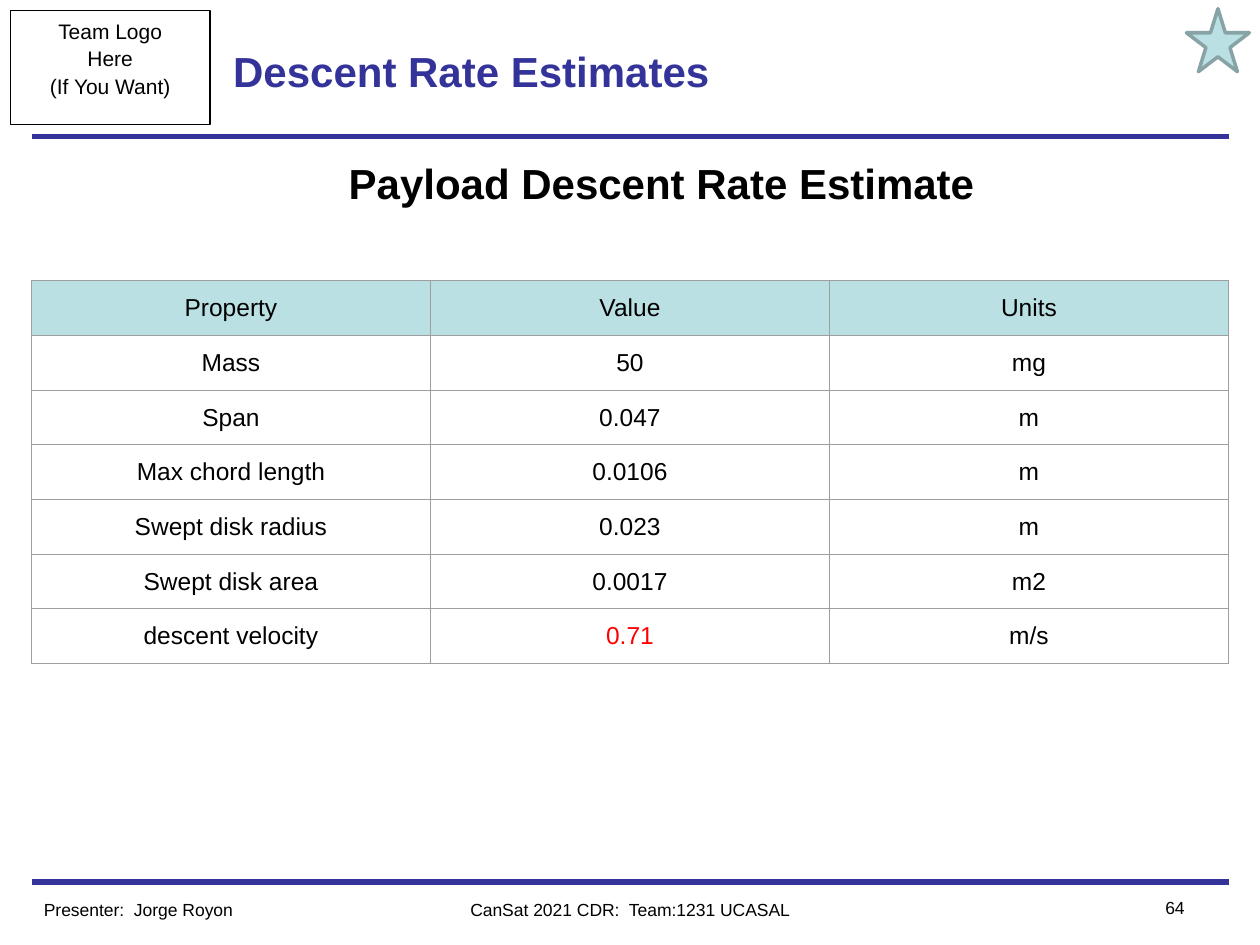
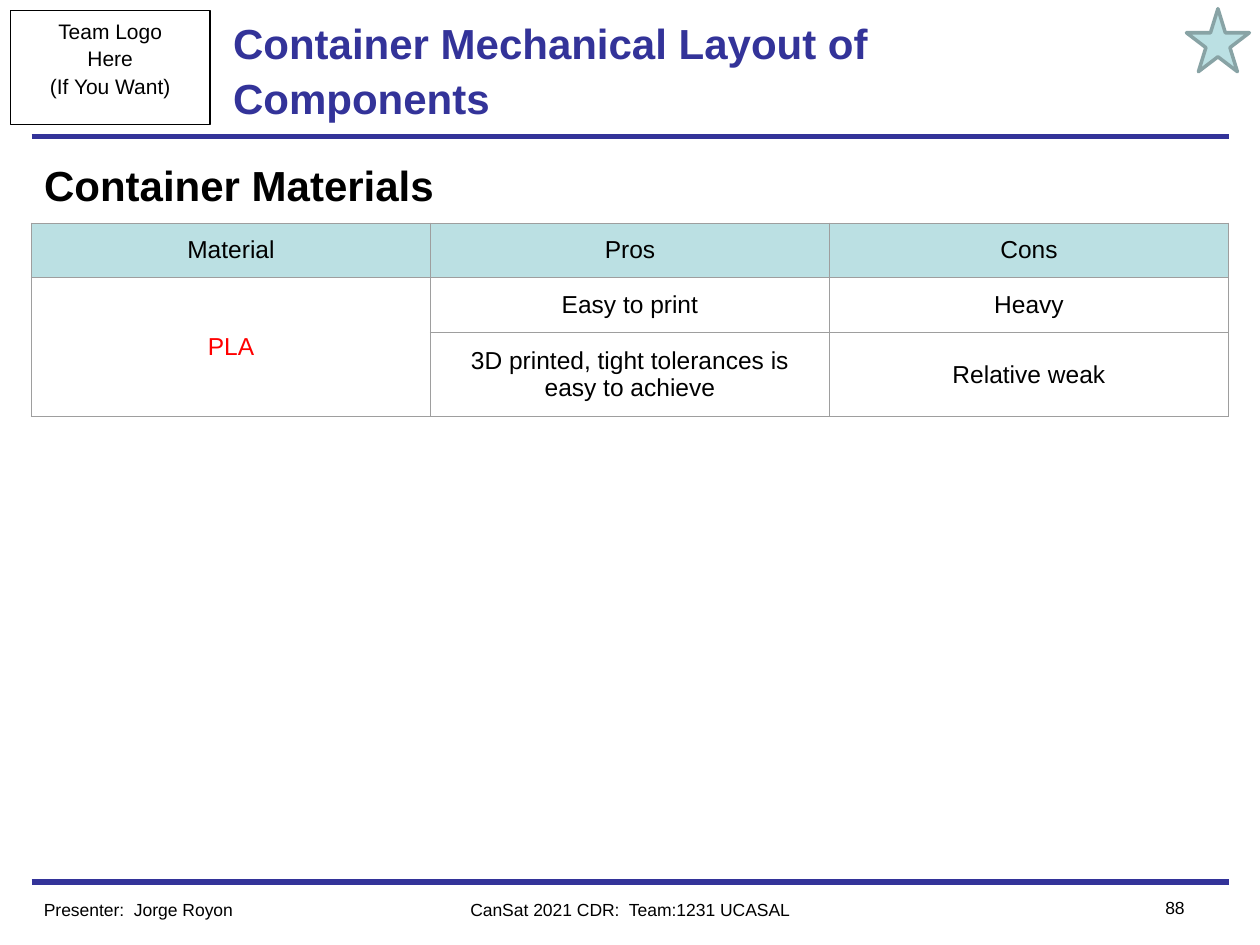
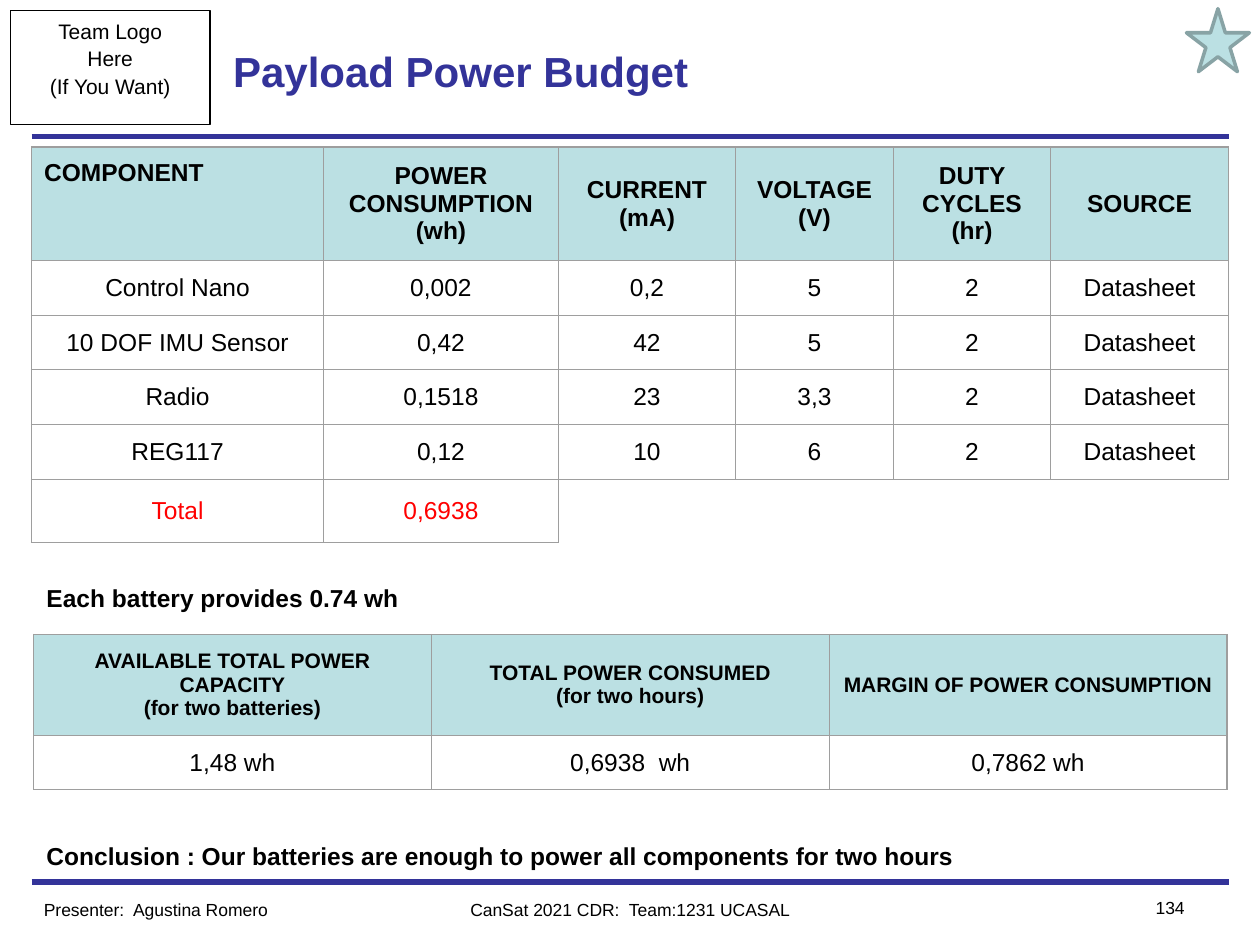
"""Build three CanSat review slides: descent rate, container materials and power budget."""
from dataclasses import dataclass, field
from typing import Optional

from pptx import Presentation
from pptx.dml.color import RGBColor
from pptx.enum.shapes import MSO_CONNECTOR, MSO_SHAPE
from pptx.enum.text import MSO_ANCHOR as ANCHOR, MSO_AUTO_SIZE as AUTO, PP_ALIGN as ALIGN
from pptx.oxml.ns import qn
from pptx.util import Pt

COLORS = {
    "navy": "333399",
    "black": "000000",
    "red": "FF0000",
    "teal": "BBE0E3",
    "star_edge": "88A3A5",
    "grid": "9E9E9E",
}
FONT = "Arial"
LEFT, CONTENT_W = 18, 684
RULE_TOPS = (78, 504)
HEADING_SPACING = 1.08
CELL_MARGIN = 7.2
EDGES = ("lnL", "lnR", "lnT", "lnB")


@dataclass
class Box:
    left: float
    top: float
    width: float
    height: float

    def emu(self) -> tuple:
        return Pt(self.left), Pt(self.top), Pt(self.width), Pt(self.height)


@dataclass
class Style:
    size: float
    color: str = "black"
    bold: bool = False
    align: ALIGN = ALIGN.LEFT
    spacing: Optional[float] = None


@dataclass
class Grid:
    left: float
    top: float
    widths: list
    heights: list
    rows: list
    header: Style
    red: tuple = ()
    merges: tuple = ()
    left_headers: tuple = ()


@dataclass
class Note:
    top: float
    text: str


@dataclass
class Page:
    title: str
    presenter: str
    number: int
    grids: list
    heading: str = ""
    heading_box: Optional[Box] = None
    heading_align: ALIGN = ALIGN.LEFT
    heading_indent: float = 0
    notes: list = field(default_factory=list)


FOOTER_LEFT = Style(10)
FOOTER_CENTER = Style(10, align=ALIGN.CENTER)
FOOTER_RIGHT = Style(10, align=ALIGN.RIGHT)
TITLE = Style(24, "navy", True, spacing=HEADING_SPACING)
LOGO = Style(12, align=ALIGN.CENTER, spacing=HEADING_SPACING)
NOTE = Style(14, bold=True, align=ALIGN.JUSTIFY, spacing=1.5)
CELL = Style(14, align=ALIGN.CENTER)
RED_CELL = Style(14, "red", align=ALIGN.CENTER)
BOLD_HEADER = Style(14, bold=True, align=ALIGN.CENTER)
SMALL_HEADER = Style(12, bold=True, align=ALIGN.CENTER)


def rgb(name: str) -> RGBColor:
    return RGBColor.from_string(COLORS[name])


def write(tf, text: str, style: Style) -> None:
    tf.text = text
    for p in tf.paragraphs:
        p.alignment = style.align
        if style.spacing:
            p.line_spacing = style.spacing
        for r in p.runs:
            r.font.name = FONT
            r.font.size = Pt(style.size)
            r.font.bold = style.bold
            r.font.color.rgb = rgb(style.color)


def add_text(slide, box: Box, text: str, style: Style, margin_v: float = 3.6) -> None:
    tf = slide.shapes.add_textbox(*box.emu()).text_frame
    tf.word_wrap = True
    tf.margin_top = tf.margin_bottom = Pt(margin_v)
    write(tf, text, style)


def fill_placeholder(sp, box: Box, text: str, style: Style, anchor: ANCHOR) -> None:
    sp.left, sp.top, sp.width, sp.height = box.emu()
    tf = sp.text_frame
    tf.auto_size = AUTO.NONE
    tf.word_wrap = True
    tf.vertical_anchor = anchor
    write(tf, text, style)


def add_rule(slide, top: float) -> None:
    line = slide.shapes.add_connector(
        MSO_CONNECTOR.STRAIGHT, Pt(LEFT), Pt(top), Pt(LEFT + CONTENT_W), Pt(top))
    line.line.color.rgb = rgb("navy")
    line.line.width = Pt(3)
    sp_pr = line._element.spPr
    sp_pr.append(sp_pr.makeelement(qn("a:effectLst"), {}))


def add_preset(slide, kind: MSO_SHAPE, box: Box, edge: str, width: float,
               fill: Optional[str] = None):
    sp = slide.shapes.add_shape(kind, *box.emu())
    sp.shadow.inherit = False
    if fill:
        sp.fill.solid()
        sp.fill.fore_color.rgb = rgb(fill)
    else:
        sp.fill.background()
    sp.line.color.rgb = rgb(edge)
    sp.line.width = Pt(width)
    return sp


def add_frame(slide, page: Page) -> None:
    for top in RULE_TOPS:
        add_rule(slide, top)
    logo = add_preset(slide, MSO_SHAPE.RECTANGLE, Box(6, 6, 114, 65), "black", 0.75)
    logo.text_frame.vertical_anchor = ANCHOR.TOP
    write(logo.text_frame, "Team Logo\nHere\n(If You Want)", LOGO)
    add_preset(slide, MSO_SHAPE.STAR_5_POINT, Box(678, 5, 36, 36), "star_edge", 2, "teal")
    add_text(slide, Box(216, 510, 288, 19.5), "CanSat 2021 CDR:  Team:1231 UCASAL", FOOTER_CENTER)
    add_text(slide, Box(630, 509, 54, 19.5), str(page.number), FOOTER_RIGHT)
    add_text(slide, Box(LEFT, 510, 180, 19.5), f"Presenter:  {page.presenter}", FOOTER_LEFT)


def set_borders(cell, visible: tuple) -> None:
    tc_pr = cell._tc.get_or_add_tcPr()
    for edge in EDGES:
        ln = tc_pr.makeelement(qn(f"a:{edge}"), {"w": str(Pt(0.75))})
        tc_pr.append(ln)
        if edge in visible:
            solid = ln.makeelement(qn("a:solidFill"), {})
            solid.append(ln.makeelement(qn("a:srgbClr"), {"val": COLORS["grid"]}))
            ln.append(solid)
        else:
            ln.append(ln.makeelement(qn("a:noFill"), {}))


def fill_cell(cell, text: str, style: Style, is_header: bool) -> None:
    cell.margin_left = cell.margin_right = Pt(CELL_MARGIN)
    cell.margin_top = cell.margin_bottom = Pt(CELL_MARGIN)
    cell.vertical_anchor = ANCHOR.MIDDLE
    if is_header:
        cell.fill.solid()
        cell.fill.fore_color.rgb = rgb("teal")
    else:
        cell.fill.background()
    if text:
        write(cell.text_frame, text, style)


def add_grid(slide, grid: Grid) -> None:
    box = Box(grid.left, grid.top, sum(grid.widths), sum(grid.heights))
    table = slide.shapes.add_table(len(grid.rows), len(grid.widths), *box.emu()).table
    table.first_row = table.horz_banding = False
    for column, width in zip(table.columns, grid.widths):
        column.width = Pt(width)
    for row, height in zip(table.rows, grid.heights):
        row.height = Pt(height)
    for i, texts in enumerate(grid.rows):
        for j, text in enumerate(texts):
            cell = table.cell(i, j)
            if text is None:
                set_borders(cell, ("lnT",) if texts[j - 1] is None else ("lnL", "lnT"))
            else:
                set_borders(cell, EDGES)
            body_style = RED_CELL if text in grid.red else CELL
            fill_cell(cell, text or "", body_style if i else grid.header, i == 0)
            if i == 0 and text in grid.left_headers:
                cell.vertical_anchor = ANCHOR.TOP
                cell.text_frame.paragraphs[0].alignment = ALIGN.LEFT
    for first, last in grid.merges:
        table.cell(*first).merge(table.cell(*last))


def add_page(prs, page: Page) -> None:
    slide = prs.slides.add_slide(prs.slide_layouts[1 if page.heading else 5])
    fill_placeholder(slide.shapes.title, Box(126, 6, 468, 66), page.title, TITLE, ANCHOR.MIDDLE)
    if page.heading:
        body = slide.placeholders[1]
        style = Style(24, bold=True, align=page.heading_align, spacing=HEADING_SPACING)
        fill_placeholder(body, page.heading_box, page.heading, style, ANCHOR.TOP)
        p = body.text_frame.paragraphs[0]
        p.space_before = Pt(0)
        p_pr = p._p.get_or_add_pPr()
        p_pr.set("marL", str(Pt(page.heading_indent)))
        p_pr.set("indent", "0")
        p_pr.append(p_pr.makeelement(qn("a:buNone"), {}))
    add_frame(slide, page)
    for grid in page.grids:
        add_grid(slide, grid)
    for note in page.notes:
        add_text(slide, Box(19.5, note.top, 681, 31.5), note.text, NOTE, CELL_MARGIN)


DESCENT = Grid(
    LEFT, 160.5, [CONTENT_W / 3] * 3, [31.2] * 7,
    [
        ("Property", "Value", "Units"),
        ("Mass", "50", "mg"),
        ("Span", "0.047", "m"),
        ("Max chord length", "0.0106", "m"),
        ("Swept disk radius", "0.023", "m"),
        ("Swept disk area", "0.0017", "m2"),
        ("descent velocity", "0.71", "m/s"),
    ],
    CELL, red=("0.71",))

MATERIALS = Grid(
    LEFT, 127.5, [CONTENT_W / 3] * 3, [31.2, 31.2, 45.7],
    [
        ("Material", "Pros", "Cons"),
        ("PLA", "Easy to print", "Heavy"),
        ("", "3D printed, tight tolerances is easy to achieve", "Relative weak"),
    ],
    CELL, red=("PLA",), merges=(((1, 0), (2, 0)),))

CONSUMPTION = Grid(
    LEFT, 84, [167, 134, 101.5, 90, 90, 101.5], [61.5] + [30] * 4 + [34.5],
    [
        ("COMPONENT", "POWER CONSUMPTION (wh)", "CURRENT (mA)", "VOLTAGE (V)",
         "DUTY CYCLES (hr)", "SOURCE"),
        ("Control Nano", "0,002", "0,2", "5", "2", "Datasheet"),
        ("10 DOF IMU Sensor", "0,42", "42", "5", "2", "Datasheet"),
        ("Radio", "0,1518", "23", "3,3", "2", "Datasheet"),
        ("REG117", "0,12", "10", "6", "2", "Datasheet"),
        ("Total", "0,6938", None, None, None, None),
    ],
    BOLD_HEADER, red=("Total", "0,6938"), left_headers=("COMPONENT",))

MARGIN = Grid(
    19.2, 362.5, [682 / 3] * 3, [57.5, 31],
    [
        ("AVAILABLE TOTAL POWER CAPACITY\n(for two batteries)",
         "TOTAL POWER CONSUMED\n(for two hours)", "MARGIN OF POWER CONSUMPTION"),
        ("1,48 wh", "0,6938  wh", "0,7862 wh"),
    ],
    SMALL_HEADER)

PAGES = [
    Page("Descent Rate Estimates", "Jorge Royon", 64, [DESCENT],
         "Payload Descent Rate Estimate", Box(LEFT, 84, CONTENT_W, 408), ALIGN.CENTER, 36),
    Page("Container Mechanical Layout of Components", "Jorge Royon", 88, [MATERIALS],
         "Container Materials", Box(LEFT, 85, CONTENT_W, 216)),
    Page("Payload Power Budget", "Agustina Romero", 134, [CONSUMPTION, MARGIN], notes=[
        Note(317.5, "Each battery provides 0.74 wh"),
        Note(465, "Conclusion : Our batteries are enough to power all components for two hours"),
    ]),
]


def main() -> None:
    prs = Presentation()
    prs.slide_width, prs.slide_height = Pt(720), Pt(540)
    for page in PAGES:
        add_page(prs, page)
    prs.save("out.pptx")


if __name__ == "__main__":
    main()
